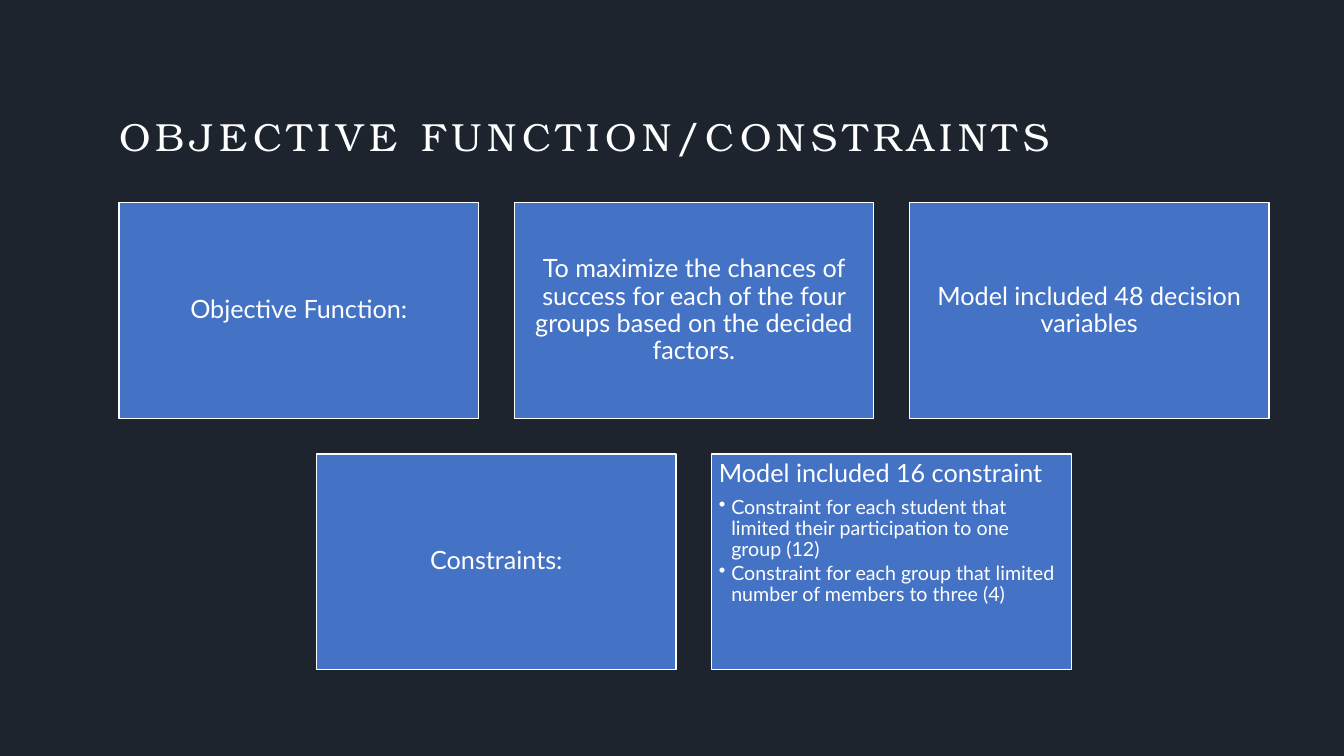
from dataclasses import dataclass

from lxml.etree import SubElement
from pptx import Presentation
from pptx.dml.color import RGBColor
from pptx.enum.shapes import MSO_SHAPE
from pptx.enum.text import MSO_ANCHOR, MSO_AUTO_SIZE, PP_ALIGN
from pptx.oxml.ns import qn
from pptx.util import Cm, Pt

HEADING = "OBJECTIVE FUNCTION/CONSTRAINTS"
CARD_ROWS = [
    [
        ("Objective Function:", []),
        ("To maximize the chances of success for each of the four groups based on the decided factors.", []),
        ("Model included 48 decision variables", []),
    ],
    [
        ("Constraints:", []),
        ("Model included 16 constraint", [
            "Constraint for each student that limited their participation to one group (12)",
            "Constraint for each group that limited number of members to three (4)",
        ]),
    ],
]


@dataclass(frozen=True)
class Theme:
    background: RGBColor = RGBColor.from_string("1D242E")
    card: RGBColor = RGBColor.from_string("4472C4")
    ink: RGBColor = RGBColor.from_string("FFFFFF")
    heading_font: str = "TeX Gyre Bonum"
    body_font: str = "Lato"
    heading_size: int = 28
    statement_size: int = 18
    detail_size: int = 14


THEME = Theme()
SLIDE_WIDTH, SLIDE_HEIGHT = 33.87, 19.05
MARGIN_LEFT, CARDS_TOP = 3.0, 5.11
CARD_WIDTH, CARD_HEIGHT, GAP = 9.06, 5.43, 0.9
INSET = Cm(0.18)
BULLET_INDENT = Cm(0.31)


def style_runs(paragraph, font_name, size):
    for run in paragraph.runs:
        run.font.name = font_name
        run.font.size = Pt(size)
        run.font.color.rgb = THEME.ink


def set_insets(frame, inset):
    frame.margin_left = frame.margin_top = inset
    frame.margin_right = frame.margin_bottom = inset
    frame.word_wrap = True
    frame.auto_size = MSO_AUTO_SIZE.NONE


def format_card_line(paragraph, size, align, gap_after):
    paragraph.alignment = align
    paragraph.line_spacing = 0.9
    paragraph.space_after = Pt(gap_after)
    style_runs(paragraph, THEME.body_font, size)


def add_bullet(paragraph):
    properties = paragraph._p.get_or_add_pPr()
    properties.set("marL", str(BULLET_INDENT))
    properties.set("indent", str(-BULLET_INDENT))
    SubElement(properties, qn("a:buChar"), char="•")


def add_heading(slide):
    heading = slide.shapes.title
    heading.left, heading.top = Cm(MARGIN_LEFT), Cm(2.82)
    heading.width, heading.height = Cm(27.86), Cm(1.83)
    frame = heading.text_frame
    frame.text = HEADING
    set_insets(frame, 0)
    frame.vertical_anchor = MSO_ANCHOR.TOP
    line = frame.paragraphs[0]
    line.alignment = PP_ALIGN.LEFT
    style_runs(line, THEME.heading_font, THEME.heading_size)
    for run in line.runs:
        run._r.get_or_add_rPr().set("spc", "400")


def add_card(slide, left, top, statement, details):
    card = slide.shapes.add_shape(
        MSO_SHAPE.RECTANGLE, Cm(left), Cm(top), Cm(CARD_WIDTH), Cm(CARD_HEIGHT))
    card.shadow.inherit = False
    card.fill.solid()
    card.fill.fore_color.rgb = THEME.card
    card.line.color.rgb = THEME.ink
    card.line.width = Pt(0.85)

    frame = card.text_frame
    frame.text = statement
    set_insets(frame, INSET)
    frame.vertical_anchor = MSO_ANCHOR.TOP if details else MSO_ANCHOR.MIDDLE
    align = PP_ALIGN.LEFT if details else PP_ALIGN.CENTER
    format_card_line(frame.paragraphs[0], THEME.statement_size, align, 6.3)
    for detail in details:
        line = frame.add_paragraph()
        line.text = detail
        line.level = 1
        format_card_line(line, THEME.detail_size, PP_ALIGN.LEFT, 2.1)
        add_bullet(line)


def main():
    deck = Presentation()
    deck.slide_width, deck.slide_height = Cm(SLIDE_WIDTH), Cm(SLIDE_HEIGHT)
    slide = deck.slides.add_slide(deck.slide_layouts[5])
    slide.background.fill.solid()
    slide.background.fill.fore_color.rgb = THEME.background
    add_heading(slide)

    step = CARD_WIDTH + GAP
    most_cards = max(len(row) for row in CARD_ROWS)
    for row_index, row in enumerate(CARD_ROWS):
        row_left = MARGIN_LEFT + (most_cards - len(row)) * step / 2
        top = CARDS_TOP + row_index * (CARD_HEIGHT + GAP)
        for column, (statement, details) in enumerate(row):
            add_card(slide, row_left + column * step, top, statement, details)

    deck.save("out.pptx")


if __name__ == "__main__":
    main()
